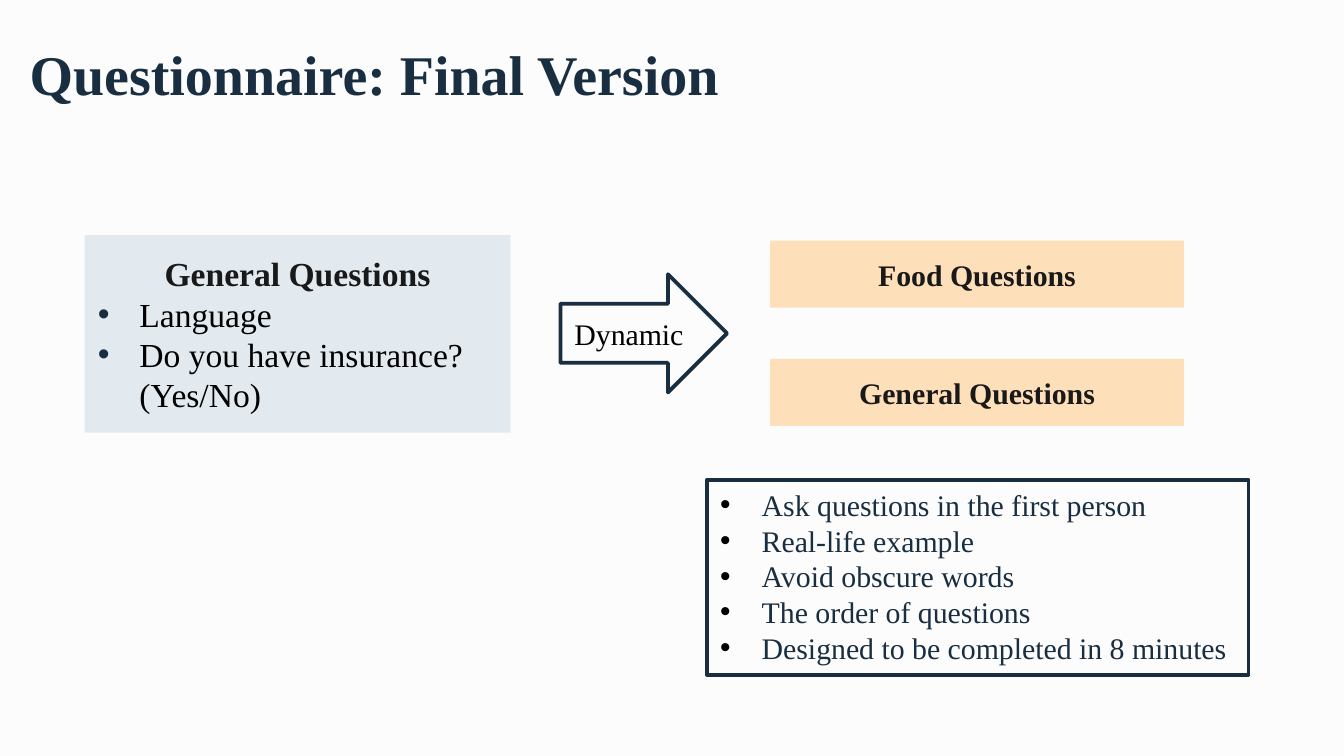
import pptx
import pptx.dml.color
import pptx.enum.shapes
import pptx.enum.text
import pptx.oxml.ns
import pptx.util
from lxml import etree
from pptx.util import Inches

RGBColor = pptx.dml.color.RGBColor
NAVY = RGBColor(0x19, 0x2E, 0x40)
CHARCOAL = RGBColor(0x19, 0x19, 0x19)
BLACK = RGBColor(0x00, 0x00, 0x00)
PAPER = RGBColor(0xFC, 0xFC, 0xFC)
PALE_BLUE = RGBColor(0xCB, 0xD9, 0xE2)
ORANGE = RGBColor(0xFF, 0xC4, 0x79)

FONT = "Times New Roman"
SHAPES = pptx.enum.shapes.MSO_SHAPE
ALIGN = pptx.enum.text.PP_ALIGN
ANCHOR = pptx.enum.text.MSO_ANCHOR
qn = pptx.oxml.ns.qn


def add_box(slide, kind, position, fill, opacity=100, line=None):
    box = slide.shapes.add_shape(kind, *[Inches(length) for length in position])
    box.shadow.inherit = False
    box.fill.solid()
    box.fill.fore_color.rgb = fill
    if opacity < 100:
        color = box.fill._xPr.find(".//" + qn("a:srgbClr"))
        etree.SubElement(color, qn("a:alpha"), val=str(opacity * 1000))
    if line is None:
        box.line.fill.background()
    else:
        box.line.color.rgb = line
        box.line.width = pptx.util.Pt(2)
    box.text_frame.word_wrap = True
    box.text_frame.vertical_anchor = ANCHOR.MIDDLE
    return box


def write_line(frame, text, size, color, bold=False, align=ALIGN.CENTER, bullet=None):
    para = frame.paragraphs[0]
    if para.runs:
        para = frame.add_paragraph()
    para.alignment = align
    if bullet is not None:
        properties = para._p.get_or_add_pPr()
        properties.set("marL", str(Inches(0.31)))
        properties.set("indent", str(Inches(-0.31)))
        bullet_color = etree.SubElement(properties, qn("a:buClr"))
        etree.SubElement(bullet_color, qn("a:srgbClr"), val=str(bullet))
        etree.SubElement(properties, qn("a:buFont"), typeface="Arial")
        etree.SubElement(properties, qn("a:buChar"), char="•")
    span = para.add_run()
    span.text = text
    span.font.name = FONT
    span.font.size = pptx.util.Pt(size)
    span.font.bold = bold
    span.font.color.rgb = color
    return para


deck = pptx.Presentation()
deck.slide_width = Inches(10)
deck.slide_height = Inches(10) * 9 // 16
page = deck.slides.add_slide(deck.slide_layouts[5])
page.background.fill.solid()
page.background.fill.fore_color.rgb = PAPER

title = page.shapes.title
title.left, title.top = Inches(0.12), Inches(0.07)
title.width, title.height = Inches(5.77), Inches(0.88)
title_frame = title.text_frame
title_frame.auto_size = pptx.enum.text.MSO_AUTO_SIZE.NONE
title_frame.vertical_anchor = ANCHOR.MIDDLE
title_frame.margin_top = title_frame.margin_bottom = Inches(0.1)
heading = write_line(title_frame, "Questionnaire: Final Version", 30, NAVY, True, ALIGN.LEFT)
heading.line_spacing = 1.15

opening = add_box(page, SHAPES.RECTANGLE, (0.63, 1.75, 3.17, 1.47), PALE_BLUE, 49)
write_line(opening.text_frame, "General Questions", 18, CHARCOAL, True)
for question in ["Language", "Do you have insurance? (Yes/No)"]:
    write_line(opening.text_frame, question, 18, BLACK, align=ALIGN.LEFT, bullet=NAVY)

for index, topic in enumerate(["Food Questions", "General Questions"]):
    branch = add_box(page, SHAPES.RECTANGLE, (5.73, 1.79 + index * 0.88, 3.08, 0.5), ORANGE, 50)
    write_line(branch.text_frame, topic, 16, CHARCOAL, True)

arrow = add_box(page, SHAPES.RIGHT_ARROW, (4.17, 2.04, 1.24, 0.88), PAPER, line=NAVY)
arrow.text_frame.word_wrap = False
write_line(arrow.text_frame, "Dynamic", 16, BLACK)

guidelines = add_box(page, SHAPES.RECTANGLE, (5.26, 3.57, 4.03, 1.45), PAPER, line=NAVY)
guidelines.text_frame.vertical_anchor = ANCHOR.TOP
for guideline in [
    "Ask questions in the first person",
    "Real-life example",
    "Avoid obscure words",
    "The order of questions",
    "Designed to be completed in 8 minutes",
]:
    write_line(guidelines.text_frame, guideline, 16, NAVY, align=ALIGN.LEFT, bullet=BLACK)

deck.save("out.pptx")
